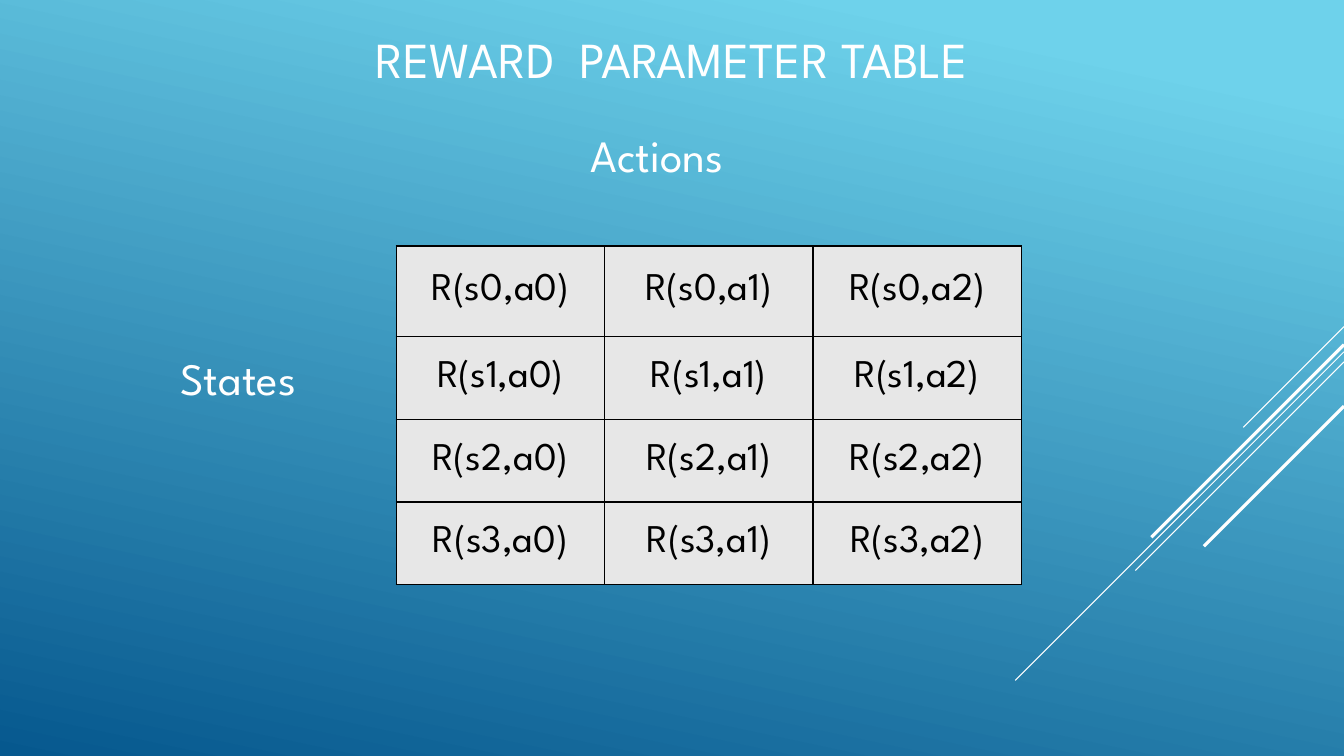
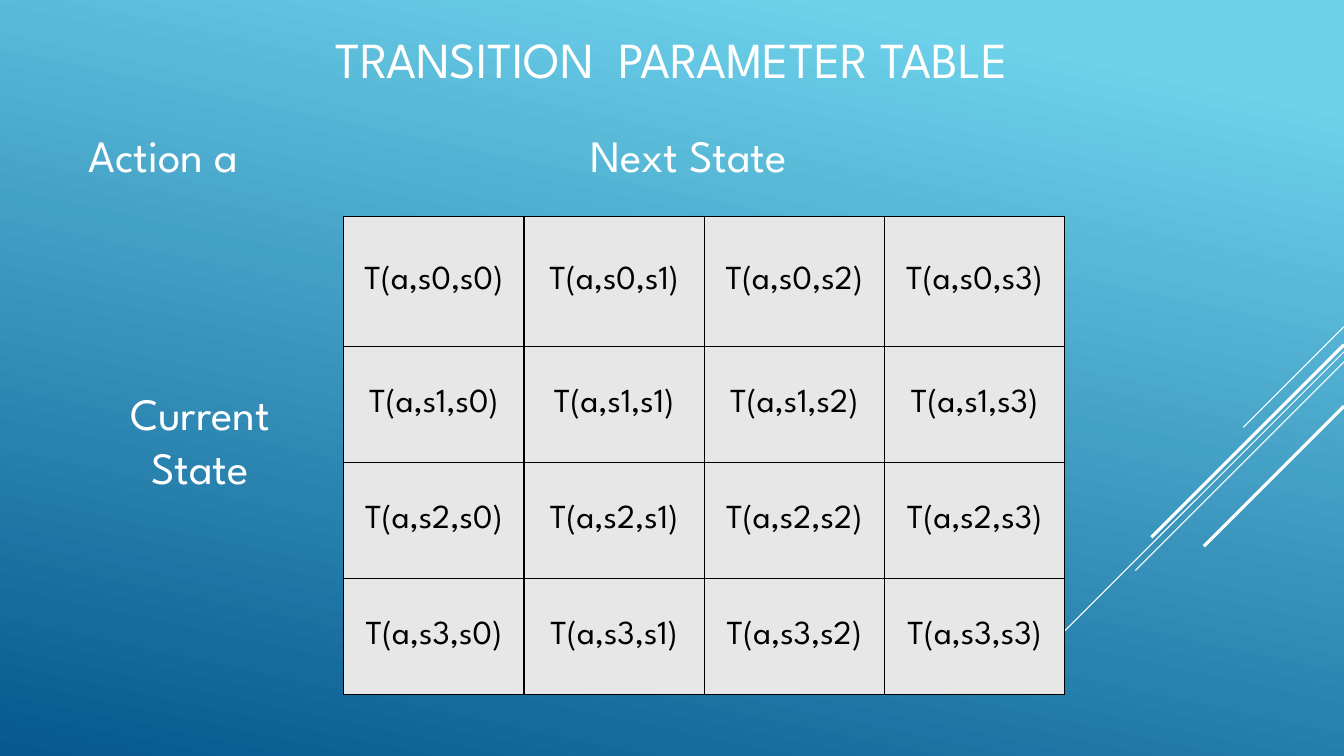
from dataclasses import dataclass

from lxml.etree import SubElement
from pptx import Presentation
from pptx.dml.color import RGBColor
from pptx.enum.shapes import MSO_CONNECTOR
from pptx.enum.text import MSO_ANCHOR, PP_ALIGN
from pptx.oxml.ns import qn
from pptx.util import Inches, Pt


@dataclass(frozen=True)
class Theme:
    font: str = "League Spartan"
    white: RGBColor = RGBColor.from_string("FFFFFF")
    black: RGBColor = RGBColor.from_string("000000")
    cell: RGBColor = RGBColor.from_string("E7E7E7")
    light: RGBColor = RGBColor.from_string("6ED2EB")
    dark: RGBColor = RGBColor.from_string("06588E")
    title: int = 36
    label: int = 32
    thin: float = 0.75
    thick: float = 2.25


THEME = Theme()
WIDTH, HEIGHT = 13.33, 7.5
# Diagonal rays: top at the right edge, horizontal reach, line width
RAYS = [
    (3.24, 1.0, THEME.thin),
    (3.49, 3.26, THEME.thin),
    (3.59, 2.07, THEME.thin),
    (3.42, 1.91, THEME.thick),
    (4.03, 1.39, THEME.thick),
]


def style(para, size, color, align):
    para.alignment = align
    para.font.name = THEME.font
    para.font.size = Pt(size)
    para.font.color.rgb = color


def paint_master(deck):
    fill = deck.slide_master.background.fill
    fill.gradient()
    fill.gradient_angle = 258
    stops = [(0.1, THEME.light), (1.0, THEME.dark)]
    for stop, (place, color) in zip(fill.gradient_stops, stops):
        stop.position = place
        stop.color.rgb = color


def add_ray(slide, top, reach, width):
    ends = (WIDTH, top, WIDTH - reach, top + reach)
    ray = slide.shapes.add_connector(
        MSO_CONNECTOR.STRAIGHT, *(Inches(end) for end in ends))
    ray.line.color.rgb = THEME.white
    ray.line.width = Pt(width)
    SubElement(ray._element.spPr, qn("a:effectLst"))


def add_text(slide, text, box, size=THEME.label, align=PP_ALIGN.LEFT,
             anchor=MSO_ANCHOR.TOP):
    frame = slide.shapes.add_textbox(*(Inches(side) for side in box)).text_frame
    frame.word_wrap = True
    frame.vertical_anchor = anchor
    frame.text = text
    style(frame.paragraphs[0], size, THEME.white, align)


def add_slide(deck, title):
    slide = deck.slides.add_slide(deck.slide_layouts[6])
    for ray in RAYS:
        add_ray(slide, *ray)
    add_text(slide, title, (1.69, 0.21, 9.95, 0.72), THEME.title,
             PP_ALIGN.CENTER, MSO_ANCHOR.BOTTOM)
    return slide


def add_border(cell):
    props = cell._tc.get_or_add_tcPr()
    for side in ("a:lnL", "a:lnR", "a:lnT", "a:lnB"):
        line = SubElement(props, qn(side), w=str(Pt(1)))
        fill = SubElement(line, qn("a:solidFill"))
        SubElement(fill, qn("a:srgbClr"), val=str(THEME.black))


def add_grid(slide, pattern, box, cols, heights, size):
    """Fill each cell with the pattern, given its row and column numbers."""
    frame = slide.shapes.add_table(
        len(heights), cols, *(Inches(side) for side in box))
    table = frame.table
    table.first_row = table.horz_banding = False
    for col in table.columns:
        col.width = Inches(box[2] / cols)
    for i, height in enumerate(heights):
        table.rows[i].height = Inches(height)
        for j in range(cols):
            cell = table.cell(i, j)
            add_border(cell)
            cell.fill.solid()
            cell.fill.fore_color.rgb = THEME.cell
            cell.vertical_anchor = MSO_ANCHOR.MIDDLE
            cell.text = pattern.format(i, j)
            style(cell.text_frame.paragraphs[0], size, THEME.black,
                  PP_ALIGN.CENTER)


def add_reward(deck):
    slide = add_slide(deck, "REWARD  PARAMETER TABLE")
    add_grid(slide, "R(s{},a{})", (3.93, 2.44, 6.2, 3.35), 3,
             [0.9] + [0.82] * 3, 28)
    add_text(slide, "States", (1.69, 3.43, 1.5, 0.64))
    add_text(slide, "Actions", (5.76, 1.22, 1.81, 0.64))


def add_transition(deck):
    slide = add_slide(deck, "TRANSITION  PARAMETER TABLE")
    add_grid(slide, "T(a,s{},s{})", (3.41, 2.15, 7.15, 4.74), 4,
             [1.29] + [1.15] * 3, 24)
    add_text(slide, "Current State", (1.07, 3.78, 1.83, 1.18),
             align=PP_ALIGN.CENTER)
    add_text(slide, "Next State", (5.76, 1.22, 2.44, 0.64))
    add_text(slide, "Action a ", (0.44, 1.22, 2.47, 0.64),
             align=PP_ALIGN.CENTER)


def main():
    deck = Presentation()
    deck.slide_width = Inches(WIDTH)
    deck.slide_height = Inches(HEIGHT)
    paint_master(deck)
    add_reward(deck)
    add_transition(deck)
    deck.save("out.pptx")


if __name__ == "__main__":
    main()
